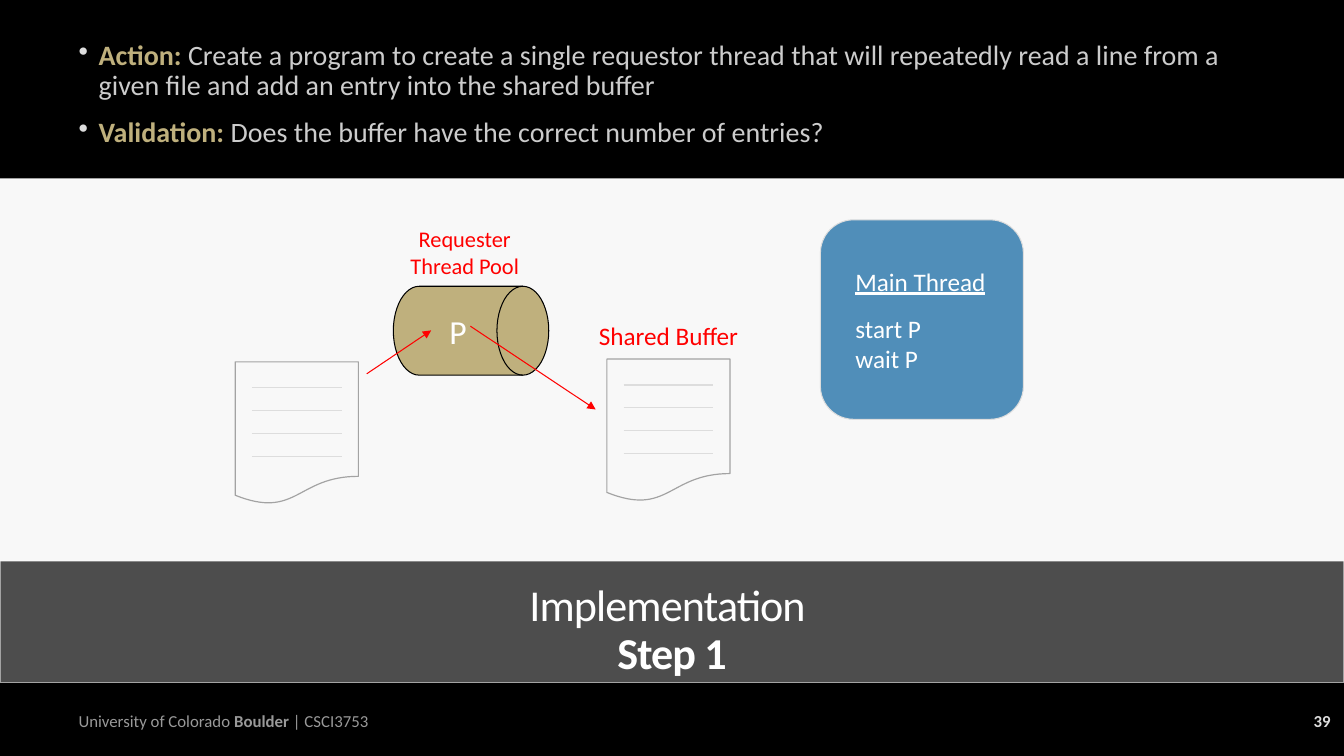
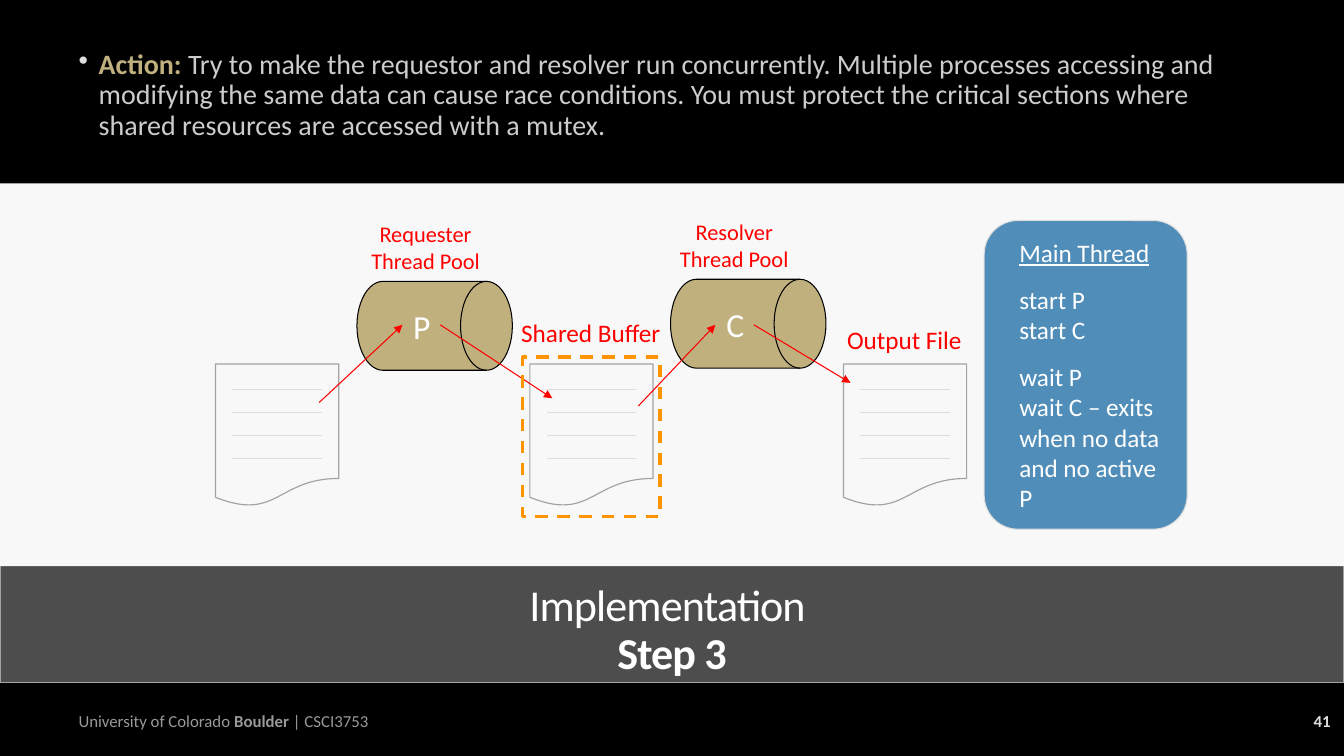
import pptx
import pptx.dml.color
import pptx.enum.dml
import pptx.enum.shapes
import pptx.enum.text
import pptx.oxml.ns
import pptx.util
from lxml import etree

Pt = pptx.util.Pt
qn = pptx.oxml.ns.qn
rgb = pptx.dml.color.RGBColor.from_string
SHAPE = pptx.enum.shapes.MSO_SHAPE
STRAIGHT = pptx.enum.shapes.MSO_CONNECTOR.STRAIGHT
ALIGN = pptx.enum.text.PP_ALIGN
ANCHOR = pptx.enum.text.MSO_ANCHOR

# Shared colours
BLACK, WHITE, GOLD, BLUE, RED = "000000", "FFFFFF", "BFB07D", "508EB9", "FF0000"
PANEL, BAND, EDGE, PALE = "F8F8F8", "4D4D4D", "A3A3A3", "DDDDDD"
MUTEX = "FF9300"

# Shared text formats
FOOTER = {"size": Pt(12), "color": "999999"}
NUMBER = {"size": Pt(12), "color": PALE, "bold": True}
TITLE = {"size": Pt(31.5), "color": WHITE, "tracking": -60}
BODY = {"size": Pt(20), "color": "CCCCCC"}
LEAD = {"size": Pt(20), "color": GOLD, "bold": True}
LETTER = {"size": Pt(24), "color": WHITE}
CODE = {"size": Pt(18), "color": WHITE}
OBJECT_LABEL = {"size": Pt(18), "color": RED}
POOL_LABEL = {"size": Pt(16), "color": RED}
CENTERED = {"alignment": ALIGN.CENTER}
BULLETED = {"line_spacing": 0.9, "space_before": Pt(12)}
ZERO_MARGINS = {f"margin_{side}": 0 for side in ("left", "right", "top", "bottom")}

# Shared sizes in points
SLIDE_WIDTH, SLIDE_HEIGHT = 960, 540
PANEL_HEIGHT = 273.5
DRUM_WIDTH, DRUM_HEIGHT = 111, 63.5
PAGE_WIDTH, PAGE_HEIGHT = 88, 102
RULE_INSET, RULE_TOP, RULE_GAP, RULE_COUNT = 12, 18.5, 16.4, 4
LABEL_WIDTH = 116

# What differs between the slides
steps = [
    {
        "number": "39", "step": "Step 1", "panel_top": 127.5, "body_top": 26,
        "bullets": [
            ("Action: ", "Create a program to create a single requestor thread that will "
             "repeatedly read a line from a given file and add an entry into the shared buffer"),
            ("Validation: ", "Does the buffer have the correct number of entries?"),
        ],
        "pages": [(433.5, 256.5), (168, 258.5)],
        "drums": [("P", 281, 204.5)],
        "labels": [(["Shared Buffer"], OBJECT_LABEL, 477.5, 225.5),
                   (["Requester", "Thread Pool"], POOL_LABEL, 332, 157)],
        "arrows": [(336, 233, 425.5, 292.5), (262, 267, 308, 236)],
        "main_box": (586, 157, 145, 142.5),
        "main_blocks": [["start P", "wait P"]],
        "mutex_boxes": [],
    },
    {
        "number": "41", "step": "Step 3", "panel_top": 131, "body_top": 32.5,
        "bullets": [
            ("Action: ", "Try to make the requestor and resolver run concurrently. Multiple "
             "processes accessing and modifying the same data can cause race conditions. You "
             "must protect the critical sections where shared resources are accessed with a "
             "mutex."),
        ],
        "pages": [(378.5, 260), (154, 260), (602.5, 260)],
        "drums": [("P", 255, 201), ("C", 479, 199.5)],
        "labels": [(["Shared Buffer"], OBJECT_LABEL, 422, 223),
                   (["Output File"], OBJECT_LABEL, 646, 228),
                   (["Requester", "Thread Pool"], POOL_LABEL, 304, 153.5),
                   (["Resolver", "Thread Pool"], POOL_LABEL, 524.5, 152.5)],
        "arrows": [(314.5, 232, 394.5, 284.5), (228, 287.5, 287.5, 232),
                   (538.5, 232, 607.5, 273.5), (456, 290, 511, 232)],
        "main_box": (703, 157.5, 145, 220.5),
        "main_blocks": [["start P", "start C"],
                        ["wait P", "wait C – exits when no data and no active P"]],
        "mutex_boxes": [(373.5, 255, 98, 114)],
    },
]


def add_box(shapes, kind, box, fill=None, line=None, line_width=0.75):
    """Add a preset shape, or a text box when kind is None."""
    box = [Pt(length) for length in box]
    if kind is None:
        return shapes.add_textbox(*box)
    shape = shapes.add_shape(kind, *box)
    shape.shadow.inherit = False
    for part, color in ((shape.fill, fill), (shape.line.fill, line)):
        if color:
            part.solid()
            part.fore_color.rgb = rgb(color)
        else:
            part.background()
    if line:
        shape.line.width = Pt(line_width)
    return shape


def write_text(shape, paragraphs, paragraph_format=None, frame_format=None):
    """Write paragraphs, each a list of (text, font format) runs."""
    frame = shape.text_frame
    for name, value in {"word_wrap": True, **(frame_format or {})}.items():
        setattr(frame, name, value)
    for index, runs in enumerate(paragraphs):
        paragraph = frame.add_paragraph() if index else frame.paragraphs[0]
        for name, value in {"alignment": ALIGN.LEFT, **(paragraph_format or {})}.items():
            setattr(paragraph, name, value)
        for text, font_format in runs:
            if text == "\n":
                paragraph.add_line_break()
                continue
            run = paragraph.add_run()
            run.text = text
            run.font.name = "Calibri"
            for name, value in font_format.items():
                if name == "color":
                    run.font.color.rgb = rgb(value)
                elif name == "tracking":
                    run.font._element.set("spc", str(value))
                else:
                    setattr(run.font, name, value)
    return frame


presentation = pptx.Presentation()
presentation.slide_width = Pt(SLIDE_WIDTH)
presentation.slide_height = Pt(SLIDE_HEIGHT)

for step in steps:
    slide = presentation.slides.add_slide(presentation.slide_layouts[6])
    shapes = slide.shapes
    slide.background.fill.solid()
    slide.background.fill.fore_color.rgb = rgb(BLACK)

    # Title band and light panel
    add_box(shapes, SHAPE.RECTANGLE, (0, 400.5, SLIDE_WIDTH, 87), BAND, EDGE, 0.85)
    add_box(shapes, SHAPE.RECTANGLE, (0, step["panel_top"], SLIDE_WIDTH, PANEL_HEIGHT), PANEL)

    # Footer and slide number
    middle = {"vertical_anchor": ANCHOR.MIDDLE}
    write_text(add_box(shapes, None, (49, 500.5, 721, 29)),
               [[("University of Colorado ", FOOTER), ("Boulder", {**FOOTER, "bold": True}),
                 (" | CSCI3753", FOOTER)]], frame_format=middle)
    write_text(add_box(shapes, None, (837.5, 500.5, 120, 29)),
               [[(step["number"], NUMBER)]], {"alignment": ALIGN.RIGHT}, middle)

    # Title
    write_text(add_box(shapes, None, (70.5, 413.5, 819, 75)),
               [[("Implementation ", TITLE), ("\n", {}), (step["step"], {**TITLE, "bold": True})]],
               {**CENTERED, "line_spacing": 0.9}, middle)

    # Bullets
    frame = write_text(add_box(shapes, None, (49, step["body_top"], 865.5, 96)),
                       [[(lead, LEAD), (text, BODY)] for lead, text in step["bullets"]], BULLETED)
    for paragraph in frame.paragraphs:
        properties = paragraph._p.get_or_add_pPr()
        properties.set("marL", str(Pt(14.4)))
        properties.set("indent", str(-Pt(14.4)))
        bullet_color = etree.SubElement(properties, qn("a:buClr"))
        etree.SubElement(bullet_color, qn("a:srgbClr"), val=PALE)
        etree.SubElement(properties, qn("a:buChar"), char="•")

    # Main thread
    main_thread = add_box(shapes, SHAPE.ROUNDED_RECTANGLE, step["main_box"], BLUE, PALE)
    lines = [text for block in step["main_blocks"] for text in block]
    frame = write_text(main_thread,
                       [[("Main Thread", {**CODE, "underline": True})]]
                       + [[(text, CODE)] for text in lines],
                       frame_format={**middle, "margin_left": Pt(18), "margin_right": Pt(12)})
    block_start = 1
    for block in step["main_blocks"]:
        frame.paragraphs[block_start].space_before = Pt(12)
        block_start += len(block)

    # Pages with ruled lines
    connectors = []
    for left, top in step["pages"]:
        group = shapes.add_group_shape()
        add_box(group.shapes, SHAPE.FLOWCHART_DOCUMENT, (left, top, PAGE_WIDTH, PAGE_HEIGHT),
                line=EDGE, line_width=0.85)
        for row in range(RULE_COUNT):
            y = top + RULE_TOP + row * RULE_GAP
            ends = (left + RULE_INSET, y, left + PAGE_WIDTH - RULE_INSET, y)
            rule = group.shapes.add_connector(STRAIGHT, *[Pt(length) for length in ends])
            connectors.append((rule, PALE, False))

    # Thread pools
    for letter, left, top in step["drums"]:
        drum = add_box(shapes, SHAPE.FLOWCHART_DIRECT_ACCESS_STORAGE,
                       (left, top, DRUM_WIDTH, DRUM_HEIGHT), GOLD, BLACK)
        write_text(drum, [[(letter, LETTER)]], CENTERED, {**middle, **ZERO_MARGINS})

    # Labels
    for texts, label_format, center, top in step["labels"]:
        height = 7.2 + len(texts) * label_format["size"].pt * 1.2
        label = add_box(shapes, None, (center - LABEL_WIDTH / 2, top, LABEL_WIDTH, height))
        write_text(label, [[(text, label_format)] for text in texts], CENTERED,
                   {"word_wrap": False})

    # Arrows, and the line format of all connectors
    for ends in step["arrows"]:
        arrow = shapes.add_connector(STRAIGHT, *[Pt(length) for length in ends])
        connectors.append((arrow, RED, True))
    for connector, color, has_head in connectors:
        connector.line.color.rgb = rgb(color)
        connector.line.width = Pt(0.75)
        if has_head:
            etree.SubElement(connector.line._get_or_add_ln(), qn("a:tailEnd"), type="triangle")
        etree.SubElement(connector._element.spPr, qn("a:effectLst"))

    # Dashed frame around the protected buffer
    for box in step["mutex_boxes"]:
        mutex_frame = add_box(shapes, SHAPE.RECTANGLE, box, line=MUTEX, line_width=2.25)
        mutex_frame.line.dash_style = pptx.enum.dml.MSO_LINE.DASH

presentation.save("out.pptx")
